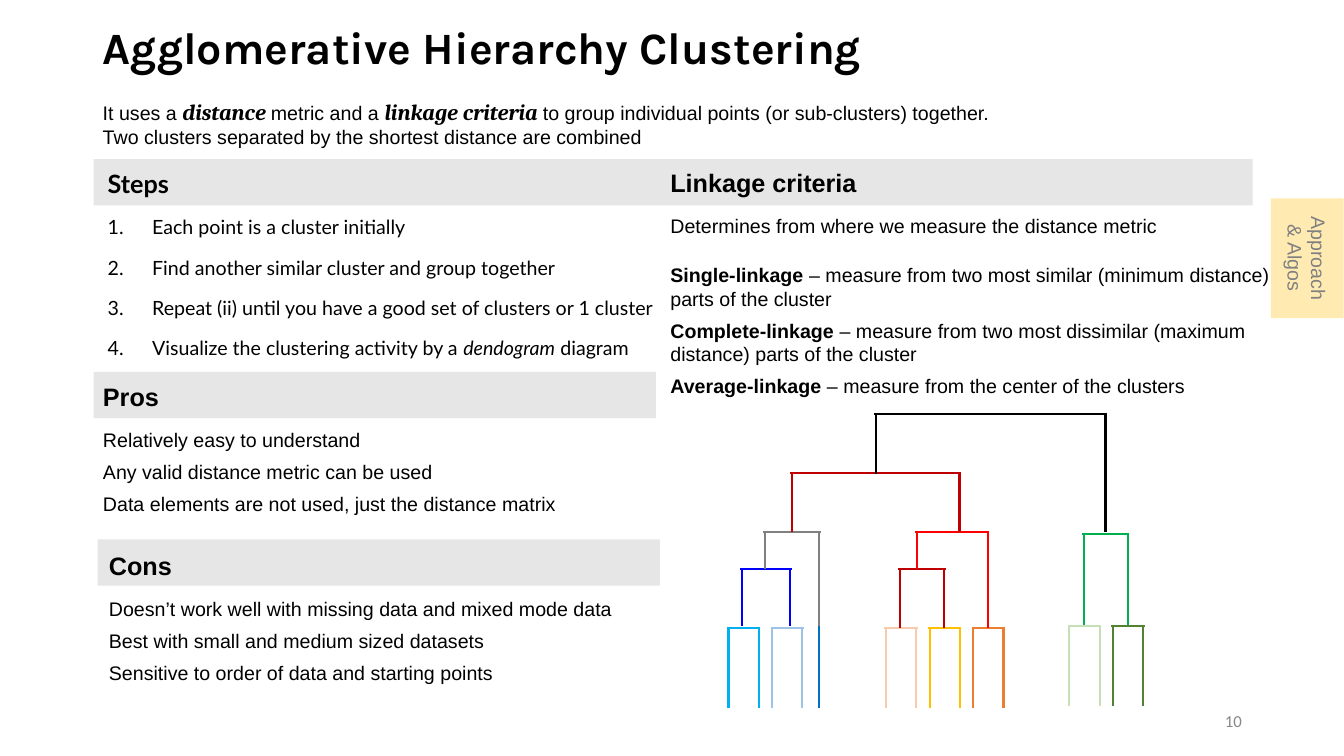
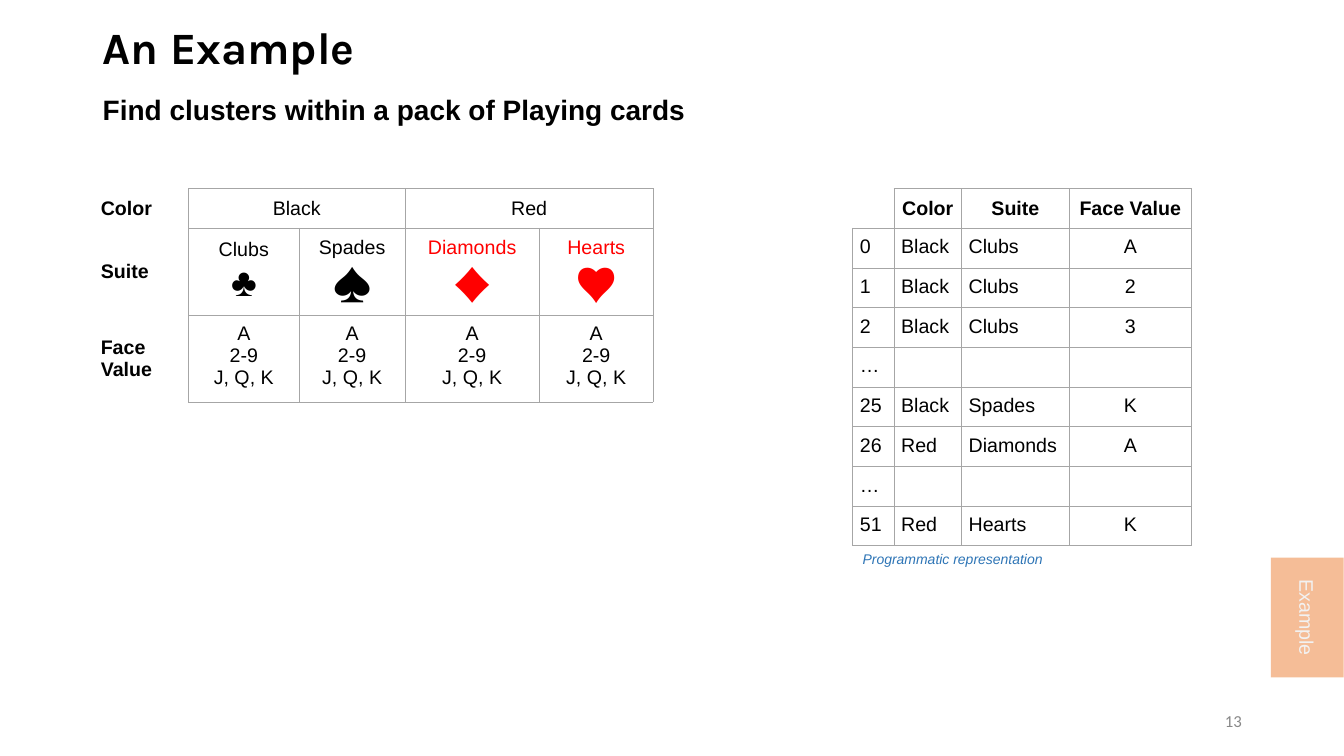
from lxml import etree
from pptx import Presentation
from pptx.dml.color import RGBColor
from pptx.enum.shapes import MSO_CONNECTOR, MSO_SHAPE
from pptx.enum.text import MSO_ANCHOR, MSO_AUTO_SIZE, PP_ALIGN
from pptx.oxml.ns import qn
from pptx.util import Cm, Pt

BLACK, GRAY, NUMBER_GRAY, BAND_GRAY, BORDER_GRAY, OFF_WHITE = map(
    RGBColor.from_string, ["000000", "808080", "888888", "E7E6E6", "A6A6A6", "F2F2F2"])
SKY, PALE_BLUE, MID_BLUE, BLUE, CAPTION_BLUE = map(
    RGBColor.from_string, ["00B0F0", "9DC3E6", "0070C0", "0000FF", "2E75B6"])
RED, DARK_RED, PEACH, ORANGE, GOLD, PALE_GOLD = map(
    RGBColor.from_string, ["FF0000", "C00000", "F8CBAD", "ED7D31", "FFC000", "FFD966"])
GREEN, PALE_GREEN, DARK_GREEN = map(
    RGBColor.from_string, ["00B050", "C5E0B4", "548235"])

ARIAL, CALIBRI, CAMBRIA, KARLA, LATO = "Arial", "Calibri", "Cambria", "Karla", "Lato"
LEFT, CENTER, RIGHT = PP_ALIGN.LEFT, PP_ALIGN.CENTER, PP_ALIGN.RIGHT
TOP, MIDDLE = MSO_ANCHOR.TOP, MSO_ANCHOR.MIDDLE
RECTANGLE, STRAIGHT = MSO_SHAPE.RECTANGLE, MSO_CONNECTOR.STRAIGHT
COMPARISON, TITLE_ONLY = 4, 5

STRONG = {"bold": True}
TERM = {"name": CAMBRIA, "size": Pt(16), "bold": True, "italic": True}

LEAF_WIDTH, LEAF_PITCH, OVERHANG = 0.76, 1.1, 0.04
# first left edge, top, bottom, colours from left to right
LEAF_GROUPS = [
    (18.36, 15.82, 17.83, [SKY, PALE_BLUE]),
    (22.33, 15.82, 17.83, [PEACH, GOLD, ORANGE]),
    (26.95, 15.77, 17.78, [PALE_GREEN, DARK_GREEN]),
]
# left, right, top, bottom of left leg, bottom of right leg, colour
BRANCHES = [
    (18.69, 19.91, 14.33, 15.77, 15.77, BLUE),
    (19.28, 20.65, 13.41, 14.33, 15.77, GRAY),
    (22.68, 23.8, 14.33, 15.82, 15.82, DARK_RED),
    (23.11, 24.89, 13.41, 14.33, 15.82, RED),
    (27.31, 28.42, 13.46, 15.75, 15.75, GREEN),
    (19.96, 24.18, 11.91, 13.41, 13.41, DARK_RED),
    (22.07, 27.86, 10.44, 11.94, 13.41, BLACK),
]


def write(para, spans, size=14, name=ARIAL, color=BLACK, bold=False,
          italic=False, align=LEFT, before=0, after=0):
    """Fill a paragraph with a string, or with strings and (string, font changes) pairs."""
    para.alignment = align
    para.space_before, para.space_after = Pt(before), Pt(after)
    font = para.font
    font.size, font.name, font.bold, font.italic = Pt(size), name, bold, italic
    font.color.rgb = color
    for span in [spans] if isinstance(spans, str) else spans:
        text, changes = (span, {}) if isinstance(span, str) else span
        run = para.add_run()
        run.text = text
        for key, value in changes.items():
            setattr(run.font, key, value)


def set_bullet(para, numbered=False):
    properties = para._p.get_or_add_pPr()
    indent = Cm(1.12) if numbered else 0
    properties.set("marL", str(indent))
    properties.set("indent", str(-indent))
    if numbered:
        etree.SubElement(properties, qn("a:buFont"), typeface="+mj-lt")
        etree.SubElement(properties, qn("a:buAutoNum"), type="arabicPeriod")
    else:
        etree.SubElement(properties, qn("a:buNone"))


def place(box, area, anchor):
    """Move a placeholder and return its text frame, ready to be filled."""
    box.left, box.top, box.width, box.height = map(Cm, area)
    frame = box.text_frame
    frame.auto_size = MSO_AUTO_SIZE.NONE
    frame.word_wrap = True
    frame.vertical_anchor = anchor
    return frame


def add_text(page, area, spans, anchor=TOP, **style):
    box = page.shapes.add_textbox(*map(Cm, area))
    box.text_frame.word_wrap = True
    box.text_frame.vertical_anchor = anchor
    write(box.text_frame.paragraphs[0], spans, **style)


def add_rectangle(page, area, color):
    shape = page.shapes.add_shape(RECTANGLE, *map(Cm, area))
    shape.shadow.inherit = False
    shape.line.fill.background()
    shape.fill.solid()
    shape.fill.fore_color.rgb = color
    return shape


def add_band(page, left, top, width=14.17):
    """Add a heading band behind everything else on the page."""
    band = add_rectangle(page, (left, top, width, 1.17), BAND_GRAY)
    band.element.getparent().insert(2, band.element)


def add_tab(page, top, text, fill, color):
    """Add the half-transparent section tab at the right edge."""
    tab = add_rectangle(page, (32.03, top, 1.83, 3.02), fill)
    paint = tab.element.spPr.find(qn("a:solidFill"))[0]
    etree.SubElement(paint, qn("a:alpha"), val="50000")
    frame = tab.text_frame
    frame.word_wrap = True
    frame.vertical_anchor = MIDDLE
    frame._txBody.bodyPr.set("vert", "vert")
    write(frame.paragraphs[0], text, color=color, align=CENTER)


def add_page(deck, layout, title, number):
    page = deck.slides.add_slide(deck.slide_layouts[layout])
    para = place(page.shapes.title, (2.34, 0, 29.21, 2.54), MIDDLE).paragraphs[0]
    para.line_spacing = 0.9
    write(para, title, size=32, name=KARLA, bold=True)
    add_text(page, (23.93, 17.65, 7.62, 1.02), number, anchor=MIDDLE,
             size=12, name=CALIBRI, color=NUMBER_GRAY, align=RIGHT)
    return page


def fill_list(box, area, heading, items, name=ARIAL, numbered=False,
              before=6, after=0, first_after=0):
    """Fill a body placeholder with a heading and items; only later items have before."""
    frame = place(box, area, TOP)
    set_bullet(frame.paragraphs[0])
    write(frame.paragraphs[0], heading, size=18, name=name, bold=True, after=12)
    for index, spans in enumerate(items):
        para = frame.add_paragraph()
        set_bullet(para, numbered)
        write(para, spans, name=name, before=before if index else 0,
              after=after if index else first_after)


def add_line(page, x1, y1, x2, y2, color):
    line = page.shapes.add_connector(STRAIGHT, Cm(x1), Cm(y1), Cm(x2), Cm(y2))
    line.line.color.rgb = color
    line.line.width = Pt(1.5)
    etree.SubElement(line.element.spPr, qn("a:effectLst"))


def add_fork(page, left, right, top, left_bottom, right_bottom, color):
    add_line(page, left, top, left, left_bottom, color)
    add_line(page, right, top, right, right_bottom, color)
    add_line(page, left - OVERHANG, top, right + OVERHANG, top, color)


def add_dendrogram(page):
    for first, top, bottom, colors in LEAF_GROUPS:
        for index, color in enumerate(colors):
            left = first + index * LEAF_PITCH
            add_fork(page, left, left + LEAF_WIDTH, top, bottom, bottom, color)
    add_line(page, 20.65, 15.77, 20.65, 17.83, MID_BLUE)
    for branch in BRANCHES:
        add_fork(page, *branch)


def set_borders(cell, sides):
    """Draw the sides named by letters of LRTB and clear the others."""
    properties = cell._tc.get_or_add_tcPr()
    for index, side in enumerate("LRTB"):
        line = etree.Element(qn("a:ln" + side), w=str(Pt(0.5)))
        if side in sides:
            paint = etree.SubElement(line, qn("a:solidFill"))
            etree.SubElement(paint, qn("a:srgbClr"), val=str(BORDER_GRAY))
        else:
            etree.SubElement(line, qn("a:noFill"))
        properties.insert(index, line)


def add_grid(page, left, top, widths, heights):
    frame = page.shapes.add_table(len(heights), len(widths), Cm(left), Cm(top),
                                  Cm(sum(widths)), Cm(sum(heights)))
    table = frame.table
    table.first_row = table.horz_banding = False
    for column, width in zip(table.columns, widths):
        column.width = Cm(width)
    for row, height in zip(table.rows, heights):
        row.height = Cm(height)
    for cell in table.iter_cells():
        cell.fill.background()
        cell.margin_left = cell.margin_right = Cm(0.18)
        cell.margin_top = cell.margin_bottom = Cm(0.2)
    return table


def write_cell(cell, lines, anchor=TOP, **style):
    cell.vertical_anchor = anchor
    for index, line in enumerate(lines):
        frame = cell.text_frame
        write(frame.add_paragraph() if index else frame.paragraphs[0], line, **style)


def add_card_table(page):
    table = add_grid(page, 2.36, 4.75, [2.39, 2.79, 2.67, 3.38, 2.87], [1, 2.19, 2.19])
    for row, label in enumerate(["Color", "Suite", "Face Value"]):
        write_cell(table.cell(row, 0), [label], MIDDLE, bold=True)
        for column in range(5):
            set_borders(table.cell(row, column), "LRTB" if column else "R")
    for column, color in [(1, "Black"), (3, "Red")]:
        table.cell(0, column).merge(table.cell(0, column + 1))
        write_cell(table.cell(0, column), [color], MIDDLE, align=CENTER)
    suites = [("Clubs", "♣", ARIAL, BLACK), ("Spades", "♠", CALIBRI, BLACK),
              ("Diamonds", "♦", CALIBRI, RED), ("Hearts", "♥", CALIBRI, RED)]
    for column, (suite, symbol, name, color) in enumerate(suites, 1):
        symbol_span = (symbol, {"size": Pt(28), "name": name})
        write_cell(table.cell(1, column), [suite, [symbol_span]], MIDDLE,
                   color=color, align=CENTER)
        write_cell(table.cell(2, column), ["A", "2-9", "J, Q, K"], align=CENTER)


def add_record_table(page):
    gap = ("…", "", "", "")
    records = [
        ("", "Color", "Suite", "Face Value"),
        ("0", "Black", "Clubs", "A"), ("1", "Black", "Clubs", "2"),
        ("2", "Black", "Clubs", "3"), gap, ("25", "Black", "Spades", "K"),
        ("26", "Red", "Diamonds", "A"), gap, ("51", "Red", "Hearts", "K"),
    ]
    table = add_grid(page, 21.49, 4.75, [1.04, 1.7, 2.72, 3.07], [1] * len(records))
    for row, record in enumerate(records):
        for column, text in enumerate(record):
            cell = table.cell(row, column)
            header = row == 0
            if text:
                write_cell(cell, [text], MIDDLE if header else TOP, bold=header,
                           align=CENTER if header or column == 3 else LEFT)
            else:
                cell.margin_top = cell.margin_bottom = 0
            set_borders(cell, "RB" if header and column == 0 else "LRTB")


def build_method_page(deck):
    page = add_page(deck, COMPARISON, "Agglomerative Hierarchy Clustering", "10")
    steps, pros, linkage, cons = list(page.placeholders)[1:]
    for band in [(2.36, 4.01, 29.21), (2.36, 9.37), (2.46, 13.59)]:
        add_band(page, *band)
    add_text(page, (2.34, 2.34, 22.96, 1.55), [
        "It uses a ", ("distance ", TERM), "metric and a ", ("linkage criteria ", TERM),
        "to group individual points (or sub-clusters) together. "
        "Two clusters separated by the shortest distance are combined"])
    fill_list(steps, (2.46, 4.11, 14.66, 5.13), "Steps", [
        "Each point is a cluster initially",
        "Find another similar cluster and group together",
        "Repeat (ii) until you have a good set of clusters or 1 cluster",
        ["Visualize the clustering activity by a ", ("dendogram", {"italic": True}), " diagram"],
    ], name=LATO, numbered=True, before=0, after=12, first_after=12)
    fill_list(linkage, (16.64, 4.09, 16.05, 6.93), "Linkage criteria", [
        "Determines from where we measure the distance metric",
        [("Single-linkage", STRONG),
         " – measure from two most similar (minimum distance) parts of the cluster"],
        [("Complete-linkage", STRONG),
         " – measure from two most dissimilar (maximum distance) parts of the cluster"],
        [("Average-linkage", STRONG), " – measure from the center of the clusters"],
    ], first_after=12)
    fill_list(pros, (2.34, 9.47, 13, 4.1), "Pros", [
        "Relatively easy to understand", "Any valid distance metric can be used",
        "Data elements are not used, just the distance matrix"])
    fill_list(cons, (2.49, 13.74, 15.14, 3.68), "Cons", [
        "Doesn’t work well with missing data and mixed mode data",
        "Best with small and medium sized datasets",
        "Sensitive to order of data and starting points"])
    add_dendrogram(page)
    add_tab(page, 5, "Approach & Algos", PALE_GOLD, GRAY)


def build_example_page(deck):
    page = add_page(deck, TITLE_ONLY, "An Example", "13")
    add_tab(page, 14.05, "Example", ORANGE, OFF_WHITE)
    add_text(page, (2.34, 2.21, 15.29, 1.12),
             "Find clusters within a pack of Playing cards", size=20, bold=True)
    add_card_table(page)
    add_record_table(page)
    add_text(page, (21.49, 13.74, 7.57, 0.69), "Programmatic representation",
             size=10, color=CAPTION_BLUE, italic=True)


def main():
    deck = Presentation()
    deck.slide_width, deck.slide_height = Cm(33.87), Cm(19.05)
    build_method_page(deck)
    build_example_page(deck)
    deck.save("out.pptx")


if __name__ == "__main__":
    main()
